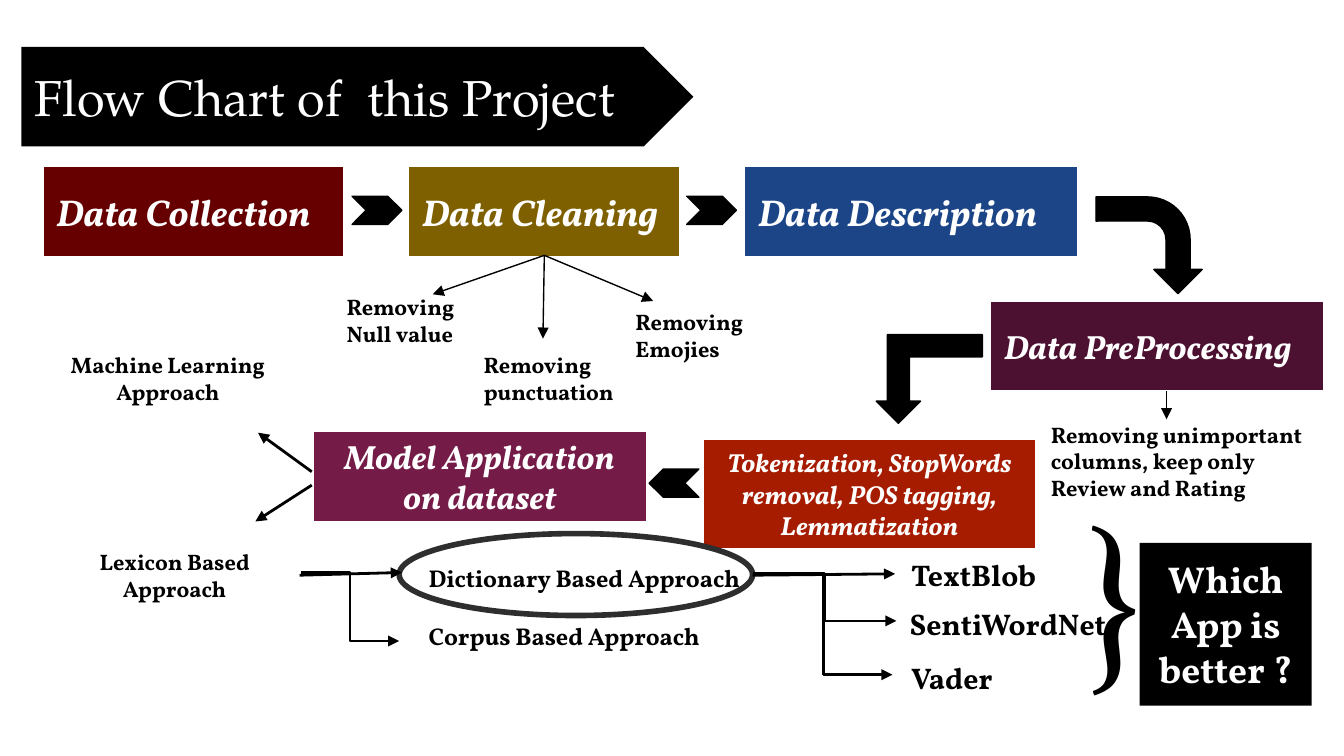
"""Builds the flow chart slide of a review analysis project."""
from lxml import etree
from pptx import Presentation
from pptx.dml.color import RGBColor
from pptx.enum.shapes import MSO_CONNECTOR, MSO_SHAPE
from pptx.enum.text import MSO_ANCHOR, MSO_AUTO_SIZE, PP_ALIGN
from pptx.oxml.ns import qn
from pptx.util import Emu, Pt

PX = 9144
SLIDE_WIDTH = 1000 * PX
SLIDE_HEIGHT = SLIDE_WIDTH * 9 // 16
COLORS = {
    "black": "000000", "white": "FFFFFF", "red": "660000", "olive": "7F6000",
    "blue": "1C4587", "plum": "4C1130", "rust": "A61C00", "magenta": "741B47",
    "ring": "2E2E2E",
}
LEFT, CENTER = PP_ALIGN.LEFT, PP_ALIGN.CENTER


def px(*lengths):
    return [Emu(length * PX) for length in lengths]


def rgb(name):
    return RGBColor.from_string(COLORS[name])


def write(shape, lines, size, color="black", align=LEFT, bold=True, italic=False,
          face="Vollkorn", gap=0, grow=False):
    frame = shape.text_frame
    frame.word_wrap = True
    frame.margin_left, frame.margin_top, frame.margin_right, frame.margin_bottom = px(10, 10, 10, 10)
    frame.vertical_anchor = MSO_ANCHOR.TOP if grow else MSO_ANCHOR.MIDDLE
    frame.auto_size = MSO_AUTO_SIZE.SHAPE_TO_FIT_TEXT if grow else MSO_AUTO_SIZE.NONE
    for index, line in enumerate(lines):
        paragraph = frame.add_paragraph() if index else frame.paragraphs[0]
        paragraph.text = line
        paragraph.alignment = align
        if index:
            paragraph.space_before = Pt(gap)
        font = paragraph.font
        font.name, font.size, font.bold, font.italic = face, Pt(size), bold, italic
        font.color.rgb = rgb(color)


def add_block(slide, preset, place, fill=None, line=None, width=0.75, turn=0):
    block = slide.shapes.add_shape(preset, *px(*place))
    block.shadow.inherit = False
    block.rotation = turn
    if fill:
        block.fill.solid()
        block.fill.fore_color.rgb = rgb(fill)
    else:
        block.fill.background()
    if line:
        block.line.color.rgb = rgb(line)
        block.line.width = Pt(width)
    else:
        block.line.fill.background()
    return block


def add_step(slide, place, fill, text, size, align=LEFT):
    step = add_block(slide, MSO_SHAPE.RECTANGLE, place, fill, "white")
    write(step, [text], size, "white", align, italic=True)


def add_card(slide, place, fill, text, size, color):
    card = add_block(slide, MSO_SHAPE.RECTANGLE, place, fill)
    write(card, [text], size, color, CENTER, grow=True)


def add_label(slide, place, lines, size, turn=0, bold=True, gap=0):
    label = slide.shapes.add_textbox(*px(*place))
    label.rotation = turn
    write(label, lines, size, bold=bold, gap=gap, grow=True)


def add_arrow(slide, start, end, width, kind=MSO_CONNECTOR.STRAIGHT):
    arrow = slide.shapes.add_connector(kind, *px(*start, *end))
    arrow.line.color.rgb = rgb("black")
    arrow.line.width = Pt(width)
    outline = arrow._element.spPr.find(qn("a:ln"))
    etree.SubElement(outline, qn("a:tailEnd"), type="triangle")
    etree.SubElement(arrow._element.spPr, qn("a:effectLst"))


def add_block_arrows(slide):
    for left, top, turn in ((262, 146, 0), (511, 146, 0), (483, 349, 180)):
        add_block(slide, MSO_SHAPE.CHEVRON, (left, top, 37, 21), "black", "black", turn=turn)
    bend = add_block(slide, MSO_SHAPE.BENT_ARROW, (819, 143, 72, 79), "black", "black", turn=90)
    bend.adjustments[3] = 0.44
    add_block(slide, MSO_SHAPE.BENT_UP_ARROW, (652, 249, 79, 66), "black", "black", turn=180)


def add_steps(slide):
    for place, fill, text, size in (
        ((32, 124, 224, 67), "red", "Data Collection", 20),
        ((304, 124, 202, 67), "olive", "Data Cleaning", 20),
        ((554, 124, 248, 67), "blue", "Data Description", 20),
        ((737, 224, 248, 67), "plum", "Data PreProcessing", 18),
    ):
        add_step(slide, place, fill, text, size)
    add_step(slide, (523, 327, 248, 81), "rust",
             "Tokenization, StopWords removal, POS tagging, Lemmatization", 14, CENTER)
    add_step(slide, (233, 321, 248, 67), "magenta", "Model Application on dataset", 18, CENTER)


def add_details(slide):
    for place, text in (
        ((248, 208, 109, 61), "Removing Null value"),
        ((350, 251, 126, 61), "Removing punctuation"),
        ((463, 219, 109, 61), "Removing Emojies"),
        ((772, 303, 208, 81), "Removing unimportant columns, keep only Review and Rating"),
    ):
        add_label(slide, place, [text], 12)
    for tip in ((322, 219), (404, 252), (486, 224)):
        add_arrow(slide, (405, 190), tip, 0.75)
    add_arrow(slide, (868, 291), (868, 312), 0.75)


def add_approaches(slide):
    add_card(slide, (32, 251, 186, 61), "white", "Machine Learning Approach", 12, "black")
    add_card(slide, (37, 398, 186, 61), "white", "Lexicon Based Approach", 12, "black")
    add_label(slide, (309, 409, 272, 86),
              ["Dictionary Based Approach", "Corpus Based Approach"], 13, gap=15.6)
    add_block(slide, MSO_SHAPE.OVAL, (297, 397, 263, 61), line="ring", width=3)
    for start, end in (
        ((232, 361), (190, 388)), ((232, 351), (192, 322)),
        ((223, 428), (299, 426)), ((560, 428), (666, 427)),
    ):
        add_arrow(slide, start, end, 1.5)
    for start, end in (
        ((224, 426), (297, 477)), ((560, 427), (667, 462)), ((562, 427), (664, 502)),
    ):
        add_arrow(slide, start, end, 1.5, MSO_CONNECTOR.ELBOW)


def add_comparison(slide):
    for place, tool in (
        ((668, 404, 135, 47), "TextBlob"),
        ((667, 441, 181, 47), "SentiWordNet"),
        ((668, 481, 135, 47), "Vader"),
    ):
        add_label(slide, place, [tool], 16)
    add_label(slide, (761, 388, 98, 172), ["{"], 90, turn=180, bold=False)
    add_card(slide, (848, 404, 128, 121), "black", "Which App is better ?", 20, "white")


def main():
    deck = Presentation()
    deck.slide_width, deck.slide_height = Emu(SLIDE_WIDTH), Emu(SLIDE_HEIGHT)
    slide = deck.slides.add_slide(deck.slide_layouts[6])
    title = add_block(slide, MSO_SHAPE.PENTAGON, (16, 35, 500, 74), "black")
    write(title, ["Flow Chart of  this Project"], 27, "white", bold=False, face="TeX Gyre Pagella")
    add_steps(slide)
    add_block_arrows(slide)
    add_details(slide)
    add_approaches(slide)
    add_comparison(slide)
    deck.save("out.pptx")


if __name__ == "__main__":
    main()
